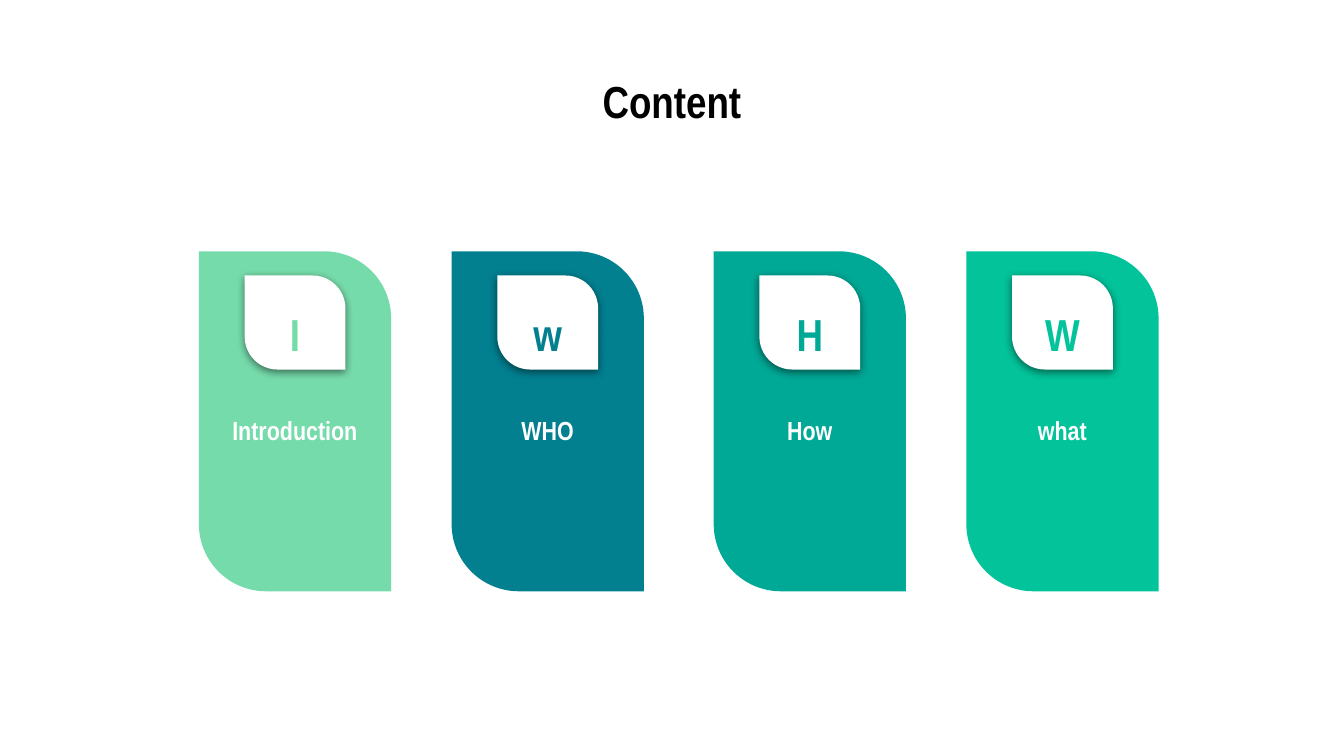
from lxml import etree
from pptx import Presentation
from pptx.dml.color import RGBColor
from pptx.enum.shapes import MSO_SHAPE
from pptx.enum.text import MSO_ANCHOR, PP_ALIGN
from pptx.oxml.ns import qn
from pptx.util import Inches, Pt

LEAF = MSO_SHAPE.ROUND_2_DIAG_RECTANGLE
CENTER = PP_ALIGN.CENTER
TOP = MSO_ANCHOR.TOP

FONT = "Arial Narrow"
BLACK = RGBColor(0x00, 0x00, 0x00)
WHITE = RGBColor(0xFF, 0xFF, 0xFF)
MINT = RGBColor(0x76, 0xDB, 0xAB)
TEAL = RGBColor(0x02, 0x80, 0x90)
JADE = RGBColor(0x00, 0xA8, 0x96)
EMERALD = RGBColor(0x02, 0xC3, 0x9A)

SLIDE_WIDTH = 10
SLIDE_HEIGHT = SLIDE_WIDTH * 9 / 16
CARD_TOP, CARD_WIDTH, CARD_HEIGHT = 1.87, 1.43, 2.53
CARDS = [
    (1.48, "I", "Introduction", MINT),
    (3.36, "w", "WHO", TEAL),
    (5.31, "H", "How", JADE),
    (7.19, "W", "what", EMERALD),
]


def add_text(shapes, text, left, top, width, height, *, size, color,
             line_spacing=None, space_after=None):
    box = shapes.add_textbox(Inches(left), Inches(top), Inches(width), Inches(height))
    frame = box.text_frame
    frame.word_wrap = True
    frame.vertical_anchor = TOP
    frame.margin_left = frame.margin_right = Inches(0.1)
    frame.margin_top = frame.margin_bottom = Inches(0.1)
    paragraph = frame.paragraphs[0]
    paragraph.alignment = CENTER
    paragraph.line_spacing = line_spacing
    paragraph.space_after = space_after
    run = paragraph.add_run()
    run.text = text
    run.font.name = FONT
    run.font.size = Pt(size)
    run.font.bold = True
    run.font.color.rgb = color


def add_leaf(shapes, left, top, width, height, color):
    """Fill the given box with a leaf turned by a quarter."""
    shift = (width - height) / 2
    leaf = shapes.add_shape(LEAF, Inches(left + shift), Inches(top - shift),
                            Inches(height), Inches(width))
    leaf.rotation = 90
    leaf.adjustments[0] = 0.349
    leaf.adjustments[1] = 0
    leaf.shadow.inherit = False
    leaf.fill.solid()
    leaf.fill.fore_color.rgb = color
    leaf.line.fill.background()
    return leaf


def add_drop_shadow(shape):
    effects = shape.element.spPr.find(qn("a:effectLst"))
    shadow = etree.SubElement(effects, qn("a:outerShdw"), blurRad=str(Pt(4.5)),
                              dist=str(Pt(1.5)), dir="5400000", algn="bl",
                              rotWithShape="0")
    color = etree.SubElement(shadow, qn("a:srgbClr"), val=str(BLACK))
    etree.SubElement(color, qn("a:alpha"), val="50000")


def add_title(slide, left, top, width, height):
    add_text(slide.shapes, "Content", left, top, width, height,
             size=24, color=BLACK)


def add_card(slide, left, top, width, height, letter, label, color):
    shapes = slide.shapes.add_group_shape().shapes
    spacing = {"line_spacing": 1.15, "space_after": Pt(16)}

    # Card body and its label
    add_leaf(shapes, left, top, width, height, color)
    add_text(shapes, label, left, top + 1.08, width, 0.5,
             size=14, color=WHITE, **spacing)

    # White badge with the initial
    badge_left = left + (width - 0.75) / 2
    badge = add_leaf(shapes, badge_left, top + 0.18, 0.75, 0.7, WHITE)
    add_drop_shadow(badge)
    add_text(shapes, letter, badge_left, top + 0.25, 0.75, 0.58,
             size=24, color=color, **spacing)


def main():
    presentation = Presentation()
    presentation.slide_width = Inches(SLIDE_WIDTH)
    presentation.slide_height = Inches(SLIDE_HEIGHT)
    slide = presentation.slides.add_slide(presentation.slide_layouts[6])

    add_title(slide, 0.5, 0.45, 9, 0.63)
    for left, letter, label, color in CARDS:
        add_card(slide, left, CARD_TOP, CARD_WIDTH, CARD_HEIGHT, letter, label, color)

    presentation.save("out.pptx")


if __name__ == "__main__":
    main()
